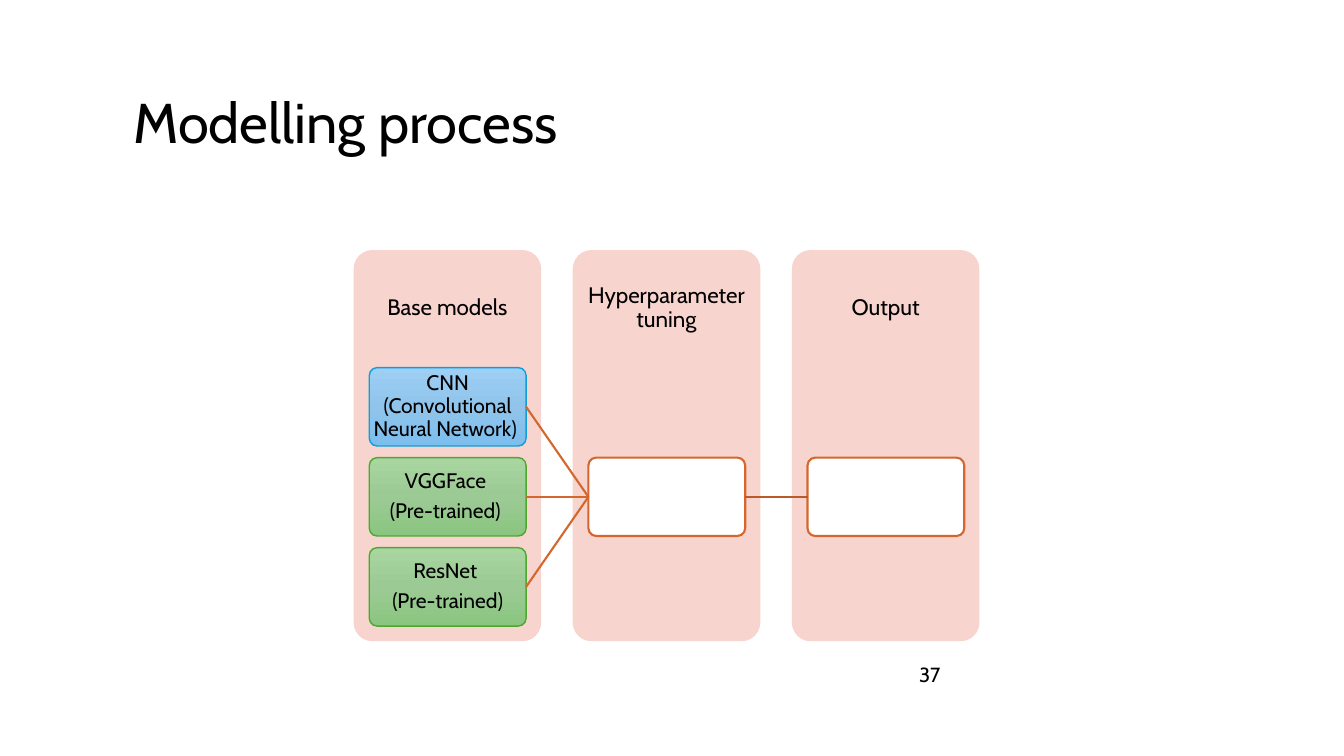
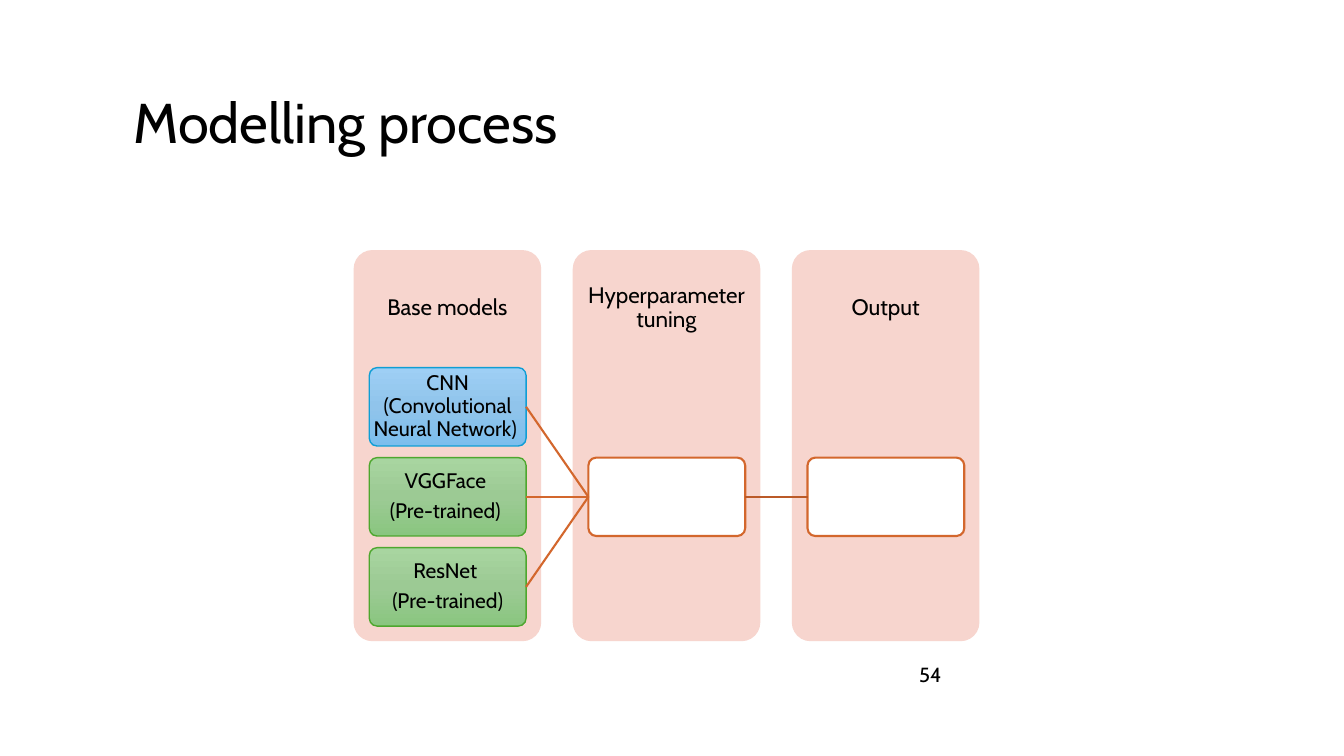
from copy import deepcopy
from pptx import Presentation
from pptx.dml import color
from pptx.enum import shapes, text
from pptx.oxml import ns, xmlchemy
from pptx.util import Pt

BLACK, WHITE, PINK = "000000", "FFFFFF", "F7D5CE"
ORANGE, RUST = "D3672D", "BB5A28"
BLUE_STYLE = ["9ECFF5", "90C4EB", "7CBEED"], "0F9ED5", 1
GREEN_STYLE = ["A8D5A0", "9CCA94", "8AC680"], "4EA72E", 1
WHITE_STYLE = [WHITE], ORANGE, 1.5

PAGE_NUMBERS = ["37", "54"]
HEADINGS = ["Base models", "Hyperparameter tuning", "Output"]
COLUMN_LEFT, COLUMN_TOP, COLUMN_STEP = 252.6, 178.6, 156.5
COLUMN_WIDTH, COLUMN_HEIGHT = 134, 279.4
CARD_INSET, CARD_TOP, CARD_STEP = 11.2, 262.6, 64.3
CARD_WIDTH, CARD_HEIGHT = 112, 56
CARDS = [
    (0, 0, BLUE_STYLE, ["CNN (Convolutional Neural Network) "]),
    (0, 1, GREEN_STYLE, ["VGGFace ", "(Pre-trained) "]),
    (0, 2, GREEN_STYLE, ["ResNet ", "(Pre-trained)"]),
    (1, 1, WHITE_STYLE, []),
    (2, 1, WHITE_STYLE, []),
]
LINKS = [(0, 3, ORANGE), (1, 3, ORANGE), (2, 3, ORANGE), (3, 4, RUST)]

MIDDLE = {"word_wrap": True, "vertical_anchor": text.MSO_ANCHOR.MIDDLE}
COLUMN_FRAME = MIDDLE | {"margin_left": Pt(5), "margin_right": Pt(5),
                         "margin_top": Pt(5), "margin_bottom": Pt(201)}
CARD_FRAME = MIDDLE | {f"margin_{side}": Pt(1)
                       for side in ("left", "right", "top", "bottom")}
TITLE_PARA = {"alignment": text.PP_ALIGN.LEFT, "line_spacing": 0.9}
LABEL_PARA = {"alignment": text.PP_ALIGN.CENTER, "line_spacing": 0.9,
              "space_after": Pt(5.25)}
NUMBER_PARA = {"alignment": text.PP_ALIGN.LEFT, "space_after": Pt(6)}


def rgb(value):
    return color.RGBColor.from_string(value)


def write(box, lines, size, frame_format, para_format):
    frame = box.text_frame
    for name, value in frame_format.items():
        setattr(frame, name, value)
    for index, line in enumerate(lines):
        para = frame.add_paragraph() if index else frame.paragraphs[0]
        for name, value in para_format.items():
            setattr(para, name, value)
        span = para.add_run()
        span.text = line
        span.font.name = "Cabin"
        span.font.size = Pt(size)
        span.font.color.rgb = rgb(BLACK)


deck = Presentation()
deck.slide_width, deck.slide_height = Pt(960), Pt(540)

for number in PAGE_NUMBERS:
    page = deck.slides.add_slide(deck.slide_layouts[5])
    title = page.shapes.title
    title.left, title.top, title.width, title.height = Pt(88), Pt(43), Pt(800), Pt(93)
    write(title, ["Modelling process"], 40, MIDDLE, TITLE_PARA)

    for index, heading in enumerate(HEADINGS):
        column = page.shapes.add_shape(
            shapes.MSO_SHAPE.ROUNDED_RECTANGLE,
            Pt(COLUMN_LEFT + index * COLUMN_STEP), Pt(COLUMN_TOP),
            Pt(COLUMN_WIDTH), Pt(COLUMN_HEIGHT))
        column.adjustments[0] = 0.1
        column.shadow.inherit = False
        column.fill.solid()
        column.fill.fore_color.rgb = rgb(PINK)
        column.line.fill.background()
        write(column, [heading], 16, COLUMN_FRAME, LABEL_PARA)

    cards = []
    for column_index, row, (fills, outline, weight), lines in CARDS:
        card = page.shapes.add_shape(
            shapes.MSO_SHAPE.ROUNDED_RECTANGLE,
            Pt(COLUMN_LEFT + column_index * COLUMN_STEP + CARD_INSET),
            Pt(CARD_TOP + row * CARD_STEP), Pt(CARD_WIDTH), Pt(CARD_HEIGHT))
        card.adjustments[0] = 0.1
        card.shadow.inherit = False
        if len(fills) == 1:
            card.fill.solid()
            card.fill.fore_color.rgb = rgb(fills[0])
        else:
            card.fill.gradient()
            card.fill.gradient_angle = 270
            stop_list = card._element.spPr.find(".//" + ns.qn("a:gsLst"))
            stop_list.insert(1, deepcopy(stop_list[0]))
            for index, stop in enumerate(card.fill.gradient_stops):
                stop.position = index / 2
                stop.color.rgb = rgb(fills[index])
        card.line.color.rgb = rgb(outline)
        card.line.width = Pt(weight)
        write(card, lines, 15, CARD_FRAME, LABEL_PARA)
        cards.append(card)

    for start, end, shade in LINKS:
        link = page.shapes.add_connector(shapes.MSO_CONNECTOR.STRAIGHT, 0, 0, 0, 0)
        link.begin_connect(cards[start], 3)
        link.end_connect(cards[end], 1)
        link.line.color.rgb = rgb(shade)
        link.line.width = Pt(1.5)
        link._element.spPr.append(xmlchemy.OxmlElement("a:effectLst"))

    number_box = page.shapes.add_textbox(Pt(649.4), Pt(469.4), Pt(176.4), Pt(23.8))
    write(number_box, [number], 14.6, {"word_wrap": True}, NUMBER_PARA)

deck.save("out.pptx")
